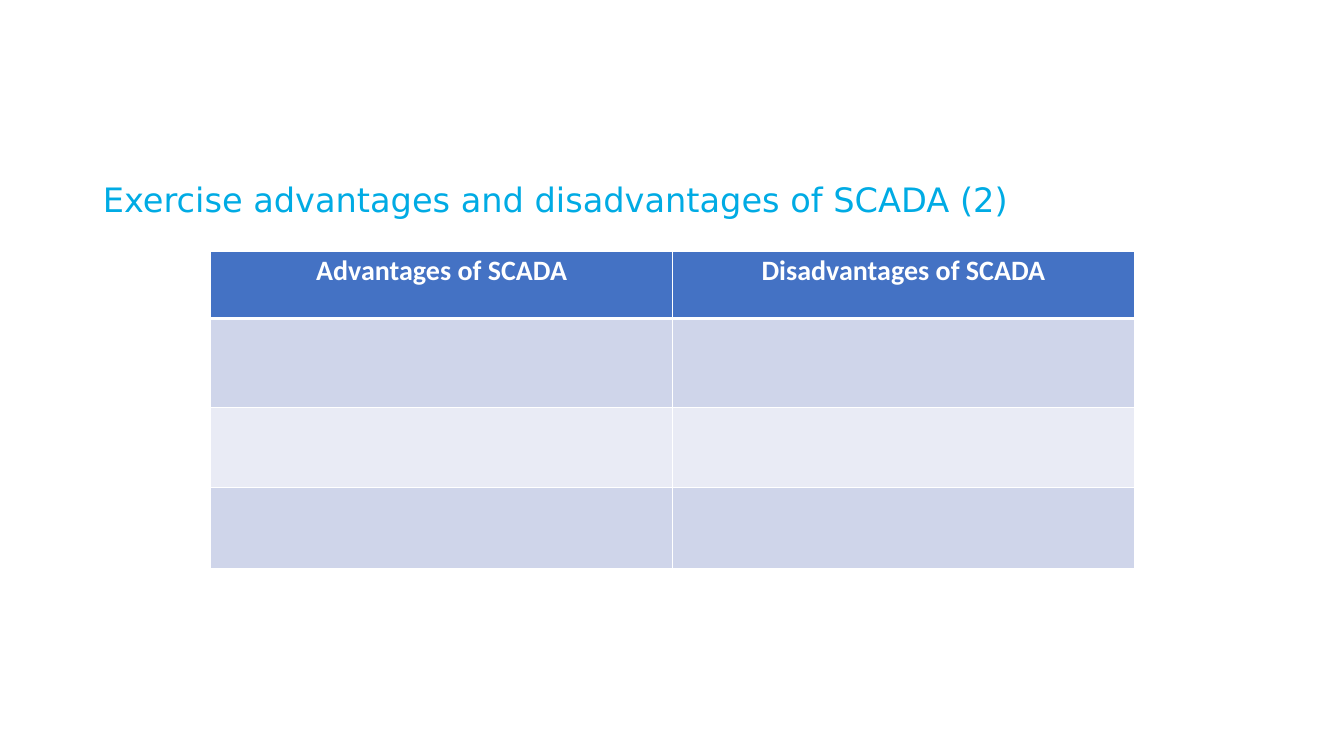
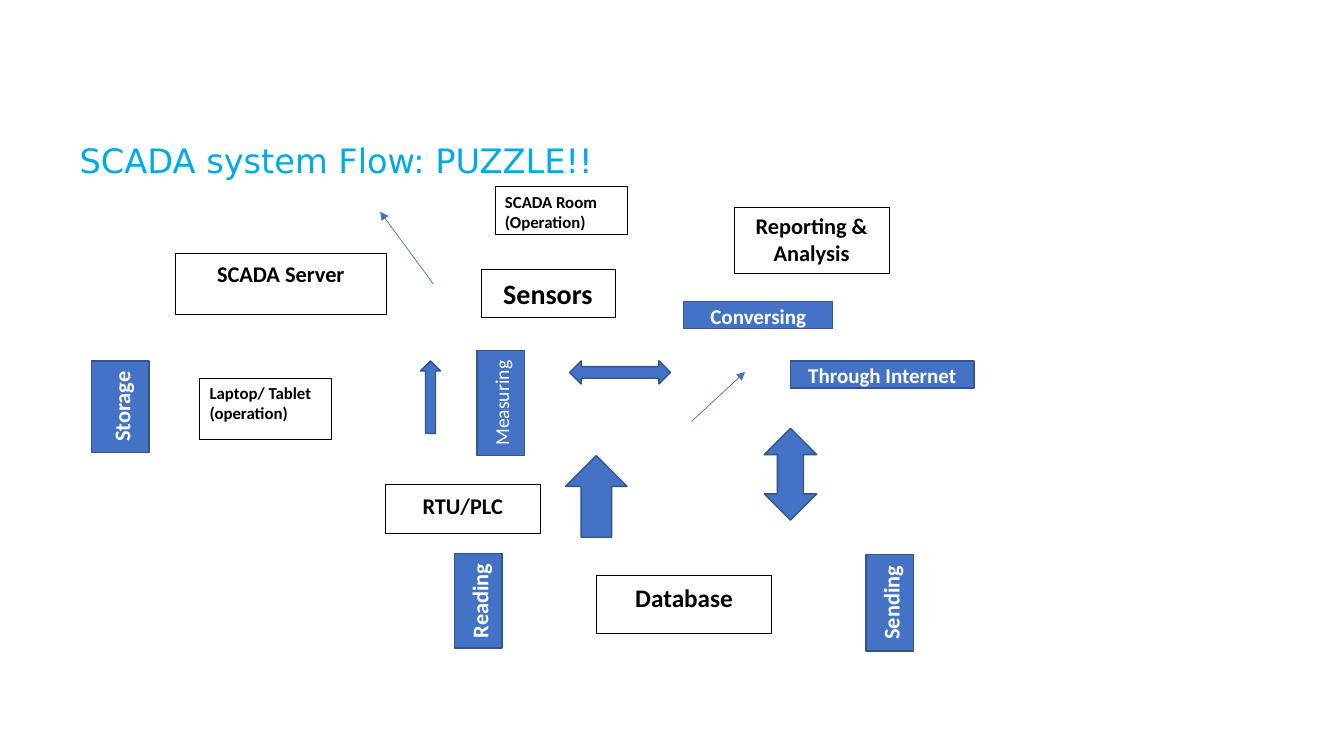
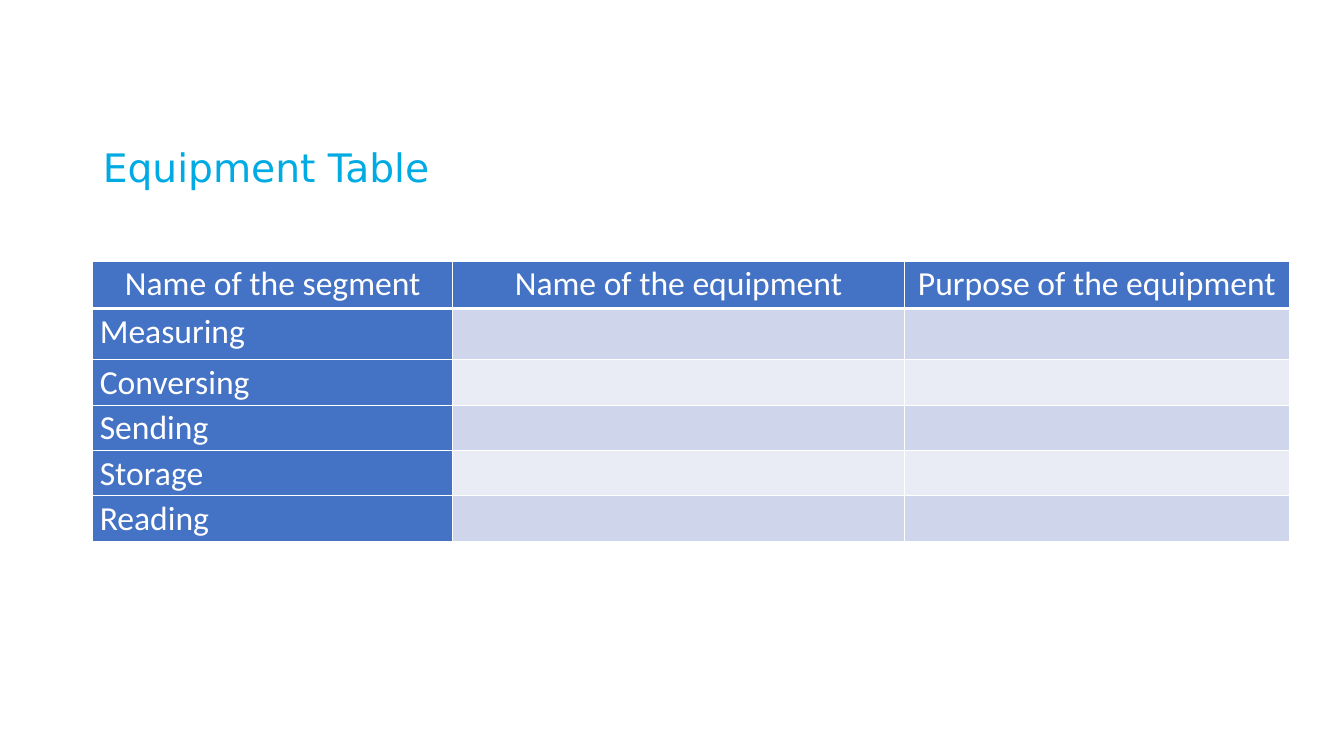
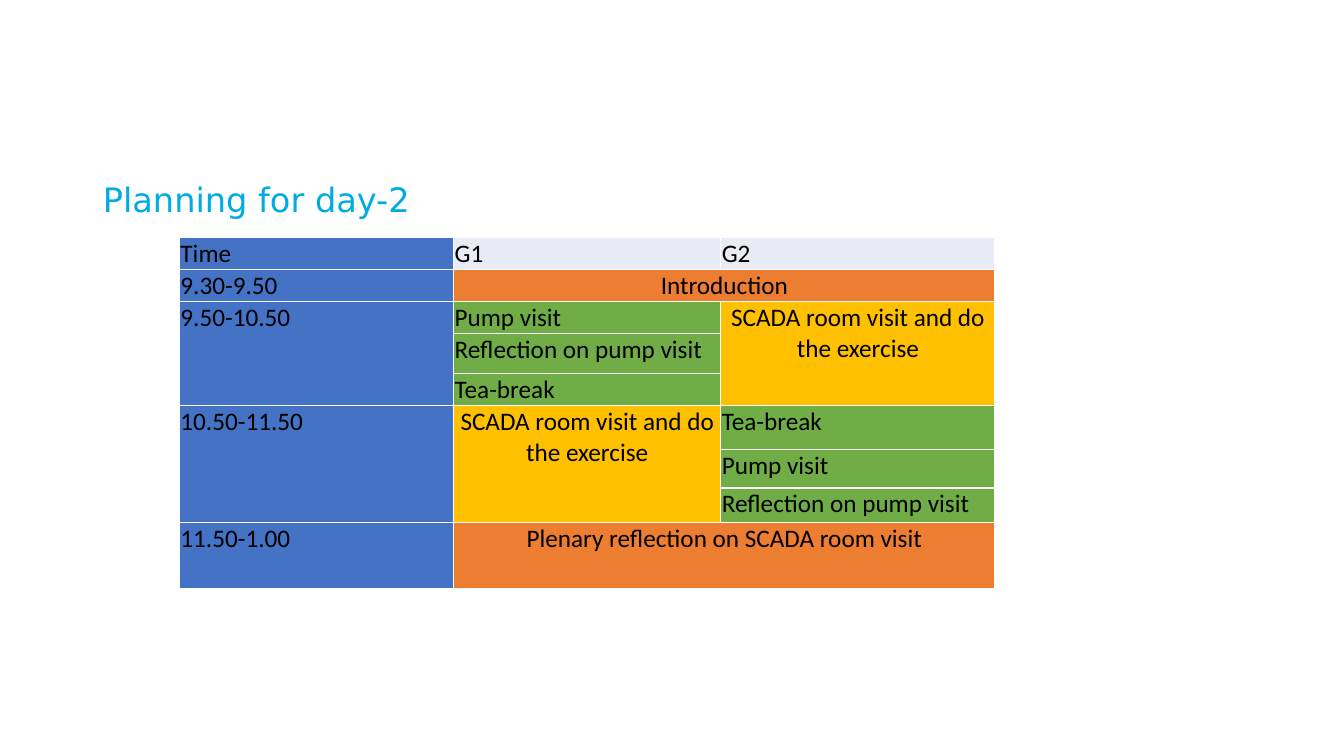
"""Build four SCADA training slides: two exercise tables, a flow puzzle and a day plan."""
from dataclasses import dataclass

from lxml.etree import SubElement
from pptx import Presentation
from pptx.dml.color import RGBColor
from pptx.enum.shapes import MSO_CONNECTOR as Connector, MSO_SHAPE as Shape
from pptx.enum.text import MSO_ANCHOR as Anchor, PP_ALIGN as Align
from pptx.oxml import parse_xml
from pptx.oxml.ns import nsdecls, qn
from pptx.util import Inches, Pt


@dataclass(frozen=True)
class Theme:
    title: str = "00ABE4"
    blue: str = "4472C4"
    edge: str = "325491"
    band: str = "CFD5EA"
    pale: str = "E9EBF5"
    orange: str = "ED7D31"
    green: str = "70AD47"
    gold: str = "FFC000"
    white: str = "FFFFFF"
    black: str = "000000"
    heading_font: str = "DejaVu Sans"
    body_font: str = "Calibri"
    heading: int = 24
    large_heading: int = 28
    huge: int = 24
    big: int = 20
    medium: int = 18
    normal: int = 16
    small: int = 15
    smaller: int = 14
    tiny: int = 12


THEME = Theme()


@dataclass(frozen=True)
class Cell:
    text: str = ""
    fill: str = THEME.blue
    align: Align = Align.LEFT
    span: tuple = (1, 1)


def write(frame, text, size, color=THEME.black, font=THEME.body_font, bold=False,
          align=Align.LEFT, spacing=1.0, after=0):
    frame.word_wrap = True
    paragraph = frame.paragraphs[0]
    paragraph.alignment = align
    paragraph.line_spacing = spacing
    paragraph.space_before = Pt(0)
    paragraph.space_after = Pt(after)
    run = paragraph.add_run()
    run.text = text
    run.font.name = font
    run.font.size = Pt(size)
    run.font.bold = bold
    run.font.color.rgb = RGBColor.from_string(color)


class Deck:
    def __init__(self, theme):
        self.theme = theme
        self.presentation = Presentation()
        self.presentation.slide_width = Inches(13.33)
        self.presentation.slide_height = Inches(7.5)
        self.slide = None

    def add_slide(self, title, left, top, size=THEME.heading):
        layout = self.presentation.slide_layouts[5]
        self.slide = self.presentation.slides.add_slide(layout)
        heading = self.slide.shapes.title
        heading.left, heading.top = Inches(left), Inches(top)
        heading.width, heading.height = Inches(11.5), Inches(0.72)
        heading.text_frame.vertical_anchor = Anchor.TOP
        write(heading.text_frame, title, size, self.theme.title,
              self.theme.heading_font, spacing=0.9)

    def shape(self, kind, place, fill, line, weight):
        shape = self.slide.shapes.add_shape(kind, *map(Inches, place))
        shape.shadow.inherit = False
        shape.fill.solid()
        shape.fill.fore_color.rgb = RGBColor.from_string(fill)
        shape.line.color.rgb = RGBColor.from_string(line)
        shape.line.width = Pt(weight)
        return shape

    def block_arrow(self, kind, place):
        self.shape(kind, place, self.theme.blue, self.theme.edge, 1)

    def station(self, text, place, size, **text_format):
        box = self.shape(Shape.RECTANGLE, place, self.theme.white, self.theme.black, 0.5)
        box.text_frame.vertical_anchor = Anchor.TOP
        write(box.text_frame, text, size, bold=True, **text_format)

    def step(self, text, place, size, upright=False, bold=True):
        box = self.shape(Shape.RECTANGLE, place, self.theme.blue, self.theme.edge, 1)
        frame = box.text_frame
        frame.vertical_anchor = Anchor.MIDDLE
        if upright:
            frame._txBody.bodyPr.set("vert", "vert270")
        write(frame, text, size, self.theme.white, bold=bold, align=Align.CENTER,
              spacing=1.07, after=8)

    def thin_arrow(self, start, end):
        arrow = self.slide.shapes.add_connector(
            Connector.STRAIGHT, *map(Inches, start + end))
        arrow.line.color.rgb = RGBColor.from_string(self.theme.blue)
        arrow.line.width = Pt(0.5)
        properties = arrow._element.spPr
        SubElement(properties.find(qn("a:ln")), qn("a:tailEnd"), type="triangle")
        SubElement(properties, qn("a:effectLst"))

    def border(self, cell, top=1, bottom=1):
        properties = cell._tc.get_or_add_tcPr()
        for index, (side, weight) in enumerate(
                [("L", 1), ("R", 1), ("T", top), ("B", bottom)]):
            properties.insert(index, parse_xml(
                f'<a:ln{side} {nsdecls("a")} w="{Pt(weight)}"><a:solidFill>'
                f'<a:srgbClr val="{self.theme.white}"/></a:solidFill></a:ln{side}>'))

    def table(self, left, top, widths, heights, rows, margins, header_rule=1, **text_format):
        grid = self.slide.shapes.add_table(
            len(heights), len(widths), Inches(left), Inches(top),
            Inches(sum(widths)), Inches(sum(heights))).table
        grid.first_row = grid.horz_banding = False
        for column, width in zip(grid.columns, widths):
            column.width = Inches(width)
        for row, height in zip(grid.rows, heights):
            row.height = Inches(height)
        side, above = map(Inches, margins)
        for r, row in enumerate(rows):
            for c, content in enumerate(row):
                cell = grid.cell(r, c)
                self.border(cell, header_rule if r == 1 else 1, header_rule if r == 0 else 1)
                if content is None:
                    continue
                cell.margin_left = cell.margin_right = side
                cell.margin_top, cell.margin_bottom = above, 0
                cell.fill.solid()
                cell.fill.fore_color.rgb = RGBColor.from_string(content.fill)
                if content.span != (1, 1):
                    down, across = content.span
                    cell.merge(grid.cell(r + down - 1, c + across - 1))
                if content.text:
                    write(cell.text_frame, content.text, align=content.align, **text_format)

    def banded(self, row):
        return Cell(fill=(self.theme.band, self.theme.pale)[row % 2])


def header(*names):
    return [Cell(name, align=Align.CENTER) for name in names]


def exercise(deck):
    deck.add_slide("Exercise advantages and disadvantages of SCADA (2)", 0.92, 1.77)
    rows = [header("Advantages of SCADA", "Disadvantages of SCADA")]
    rows += [[deck.banded(row)] * 2 for row in range(3)]
    deck.table(2.09, 2.49, [4.58] * 2, [0.67, 0.88, 0.8, 0.8], rows, (0.07, 0),
               header_rule=3, size=THEME.big, color=THEME.white, bold=True, spacing=1.07)


def puzzle(deck):
    deck.add_slide("SCADA system Flow: PUZZLE!!", 0.69, 1.38)
    for text, place, size in [
        ("SCADA Server", (1.74, 2.51, 2.09, 0.61), THEME.normal),
        ("Database", (5.92, 5.71, 1.73, 0.57), THEME.medium),
        ("RTU/PLC", (3.82, 4.81, 1.54, 0.48), THEME.normal),
        ("Sensors", (4.77, 2.67, 1.33, 0.48), THEME.big),
    ]:
        deck.station(text, place, size, align=Align.CENTER, spacing=1.07, after=8)
    deck.station("Reporting & Analysis", (7.28, 2.06, 1.54, 0.65), THEME.normal,
                 align=Align.CENTER)
    deck.station("SCADA Room (Operation)", (4.91, 1.85, 1.31, 0.48), THEME.tiny)
    deck.station("Laptop/ Tablet (operation)", (1.98, 3.75, 1.31, 0.61), THEME.tiny)

    for text, place in [
        ("Reading", (4.51, 5.49, 0.47, 0.94)),
        ("Storage", (0.91, 3.58, 0.57, 0.91)),
        ("Sending", (8.59, 5.5, 0.47, 0.96)),
    ]:
        deck.step(text, place, THEME.normal, upright=True)
    deck.step("Measuring", (4.73, 3.48, 0.47, 1.04), THEME.smaller, upright=True, bold=False)
    deck.step("Conversing", (6.78, 2.99, 1.48, 0.27), THEME.small)
    deck.step("Through Internet", (7.84, 3.58, 1.82, 0.27), THEME.small)

    for kind, place in [
        (Shape.LEFT_RIGHT_ARROW, (5.65, 3.58, 1, 0.23)),
        (Shape.UP_ARROW, (4.17, 3.58, 0.2, 0.72)),
        (Shape.UP_DOWN_ARROW, (7.58, 4.25, 0.52, 0.91)),
        (Shape.UP_ARROW, (5.61, 4.52, 0.61, 0.81)),
    ]:
        deck.block_arrow(kind, place)
    deck.thin_arrow((6.86, 4.18), (7.39, 3.69))
    deck.thin_arrow((4.3, 2.82), (3.77, 2.1))


def equipment(deck):
    deck.add_slide("Equipment Table", 0.92, 1.42, THEME.large_heading)
    segments = ["Measuring", "Conversing", "Sending", "Storage", "Reading"]
    rows = [header("Name of the segment", "Name of the equipment", "Purpose of the equipment")]
    rows += [[Cell(segment, align=Align.JUSTIFY)] + [deck.banded(row)] * 2
             for row, segment in enumerate(segments)]
    deck.table(0.92, 2.59, [3.57, 4.48, 3.82], [0.47, 0.51] + [0.45] * 4, rows, (0.07, 0),
               header_rule=3, size=THEME.huge, color=THEME.white, spacing=1.07)


def planning(deck):
    deck.add_slide("Planning for day-2", 0.92, 1.77)
    pump, reflection, tea = [Cell(text, THEME.green) for text in
                             ("Pump visit", "Reflection on pump visit", "Tea-break")]
    room = Cell("SCADA room visit and do the exercise", THEME.gold, Align.CENTER, (3, 1))
    intro, plenary = [Cell(text, THEME.orange, Align.CENTER, (1, 2)) for text in
                      ("Introduction", "Plenary reflection on SCADA room visit")]
    rows = [
        [Cell("Time"), Cell("G1", THEME.pale), Cell("G2", THEME.pale)],
        [Cell("9.30-9.50"), intro, None],
        [Cell("9.50-10.50", span=(3, 1)), pump, room],
        [None, reflection, None],
        [None, tea, None],
        [Cell("10.50-11.50", span=(3, 1)), room, tea],
        [None, None, pump],
        [None, None, reflection],
        [Cell("11.50-1.00"), plenary, None],
    ]
    heights = [0.29, 0.29, 0.29, 0.4, 0.29, 0.44, 0.38, 0.34, 0.66]
    deck.table(1.78, 2.36, [2.72, 2.65, 2.72], heights, rows, (0.01, 0.01),
               size=THEME.medium)


def main():
    deck = Deck(THEME)
    for build in (exercise, puzzle, equipment, planning):
        build(deck)
    deck.presentation.save("out.pptx")


if __name__ == "__main__":
    main()
